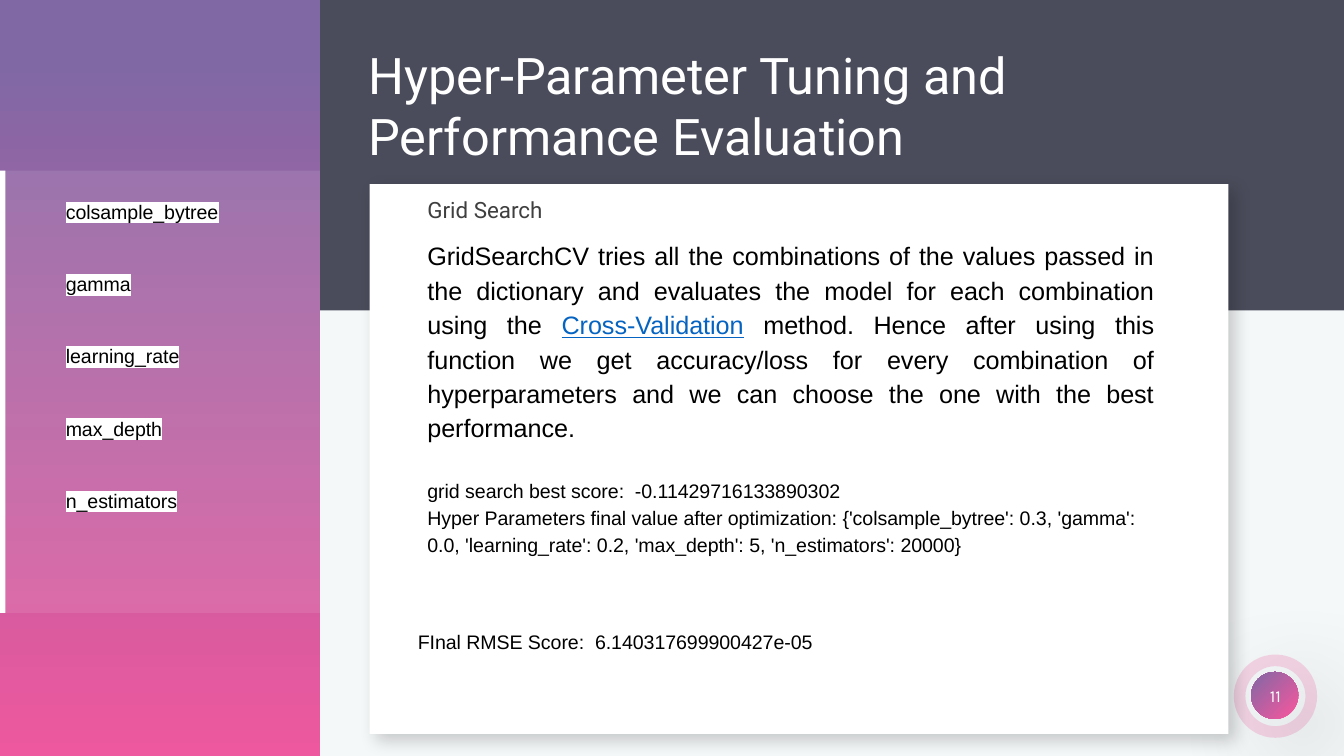
from lxml import etree
from pptx import Presentation
from pptx.dml.color import RGBColor
from pptx.enum.shapes import MSO_SHAPE
from pptx.enum.text import MSO_ANCHOR, MSO_AUTO_SIZE, PP_ALIGN
from pptx.oxml import parse_xml
from pptx.oxml.ns import qn
from pptx.util import Inches, Pt

RECTANGLE, OVAL, DONUT = MSO_SHAPE.RECTANGLE, MSO_SHAPE.OVAL, MSO_SHAPE.DONUT
TOP, NO_AUTOFIT = MSO_ANCHOR.TOP, MSO_AUTO_SIZE.NONE
LEFT, CENTER, JUSTIFY = PP_ALIGN.LEFT, PP_ALIGN.CENTER, PP_ALIGN.JUSTIFY
NAMESPACE = "http://schemas.openxmlformats.org/drawingml/2006/main"
SLIDE_WIDTH = 10
SLIDE_HEIGHT = SLIDE_WIDTH * 9 / 16
COLORS = {
    "background": "F5F8F9",
    "navy": "020319",
    "purple": "8068A5",
    "pink": "EE589E",
    "white": "FFFFFF",
    "black": "000000",
    "gray": "3F3F3F",
    "link": "0563C1",
}


def color_xml(tag, color, alpha=100):
    return (f'<a:{tag} xmlns:a="{NAMESPACE}"><a:srgbClr val="{COLORS[color]}">'
            f'<a:alpha val="{alpha * 1000}"/></a:srgbClr></a:{tag}>')


def add_text(text, box, size, color="black", font="Arial", inset=(0.07, 0.04), spacing=1.0):
    shape = slide.shapes.add_textbox(*map(Inches, box))
    frame = shape.text_frame
    frame.word_wrap = True
    frame.margin_left = frame.margin_right = Inches(inset[0])
    frame.margin_top = frame.margin_bottom = Inches(inset[1])
    for index, line in enumerate(text):
        paragraph = frame.paragraphs[0] if index == 0 else frame.add_paragraph()
        paragraph.line_spacing = spacing
        paragraph.font.size = Pt(size)
        paragraph.font.name = font
        paragraph.font.color.rgb = RGBColor.from_string(COLORS[color])
        for part in line:
            paragraph.add_run().text = part
    return frame.paragraphs


presentation = Presentation()
presentation.slide_width = Inches(SLIDE_WIDTH)
presentation.slide_height = Inches(SLIDE_HEIGHT)
slide = presentation.slides.add_slide(presentation.slide_layouts[5])
slide.background.fill.solid()
slide.background.fill.fore_color.rgb = RGBColor.from_string(COLORS["background"])

sidebar_fill = ([(0, "purple"), (8, "purple"), (100, "pink")],
                '<a:lin ang="5400000" scaled="0"/>')
badge_fill = ([(0, "purple"), (89, "pink"), (100, "pink")],
              '<a:path path="circle"><a:fillToRect r="100000" b="100000"/></a:path>')
panels = [
    (DONUT, (9.18, 4.87, 0.62, 0.62), ("pink", 22), None),
    (OVAL, (9.31, 5, 0.35, 0.35), badge_fill, (40, 59, 21)),
    (RECTANGLE, (2.38, 0, 7.62, 2.31), ("navy", 70), None),
    (RECTANGLE, (0, 0, 2.38, SLIDE_HEIGHT), sidebar_fill, None),
    (RECTANGLE, (2.75, 1.37, 6.39, 4.09), ("white", 100), (18, 9, 5)),
    (RECTANGLE, (0, 1.27, 2.38, 3.29), ("white", 10), None),
    (RECTANGLE, (0, 1.27, 0.04, 3.29), ("white", 100), None),
]
for preset, box, fill, shadow in panels:
    shape = slide.shapes.add_shape(preset, *map(Inches, box))
    shape.line.fill.background()
    shape.shadow.inherit = False
    if preset == DONUT:
        shape.adjustments[0] = 0.14
    properties = shape.element.spPr
    if isinstance(fill[0], list):
        stops = "".join(
            f'<a:gs pos="{position * 1000}"><a:srgbClr val="{COLORS[color]}"/></a:gs>'
            for position, color in fill[0])
        fill_xml = (f'<a:gradFill xmlns:a="{NAMESPACE}" rotWithShape="1">'
                    f'<a:gsLst>{stops}</a:gsLst>{fill[1]}</a:gradFill>')
    else:
        fill_xml = color_xml("solidFill", *fill)
    properties.find(qn("a:prstGeom")).addnext(parse_xml(fill_xml))
    if shadow:
        alpha, blur, distance = shadow
        outer_shadow = parse_xml(color_xml("outerShdw", "black", alpha))
        outer_shadow.set("blurRad", str(Pt(blur)))
        outer_shadow.set("dist", str(Pt(distance)))
        outer_shadow.set("dir", "2700000")
        outer_shadow.set("algn", "tl")
        outer_shadow.set("rotWithShape", "0")
        properties.find(qn("a:effectLst")).append(outer_shadow)

title = slide.shapes.title
title.element.getparent().append(title.element)
title.left, title.top, title.width, title.height = map(Inches, (2.67, 0.29, 6.1, 0.63))
frame = title.text_frame
frame.text = "Hyper-Parameter Tuning and Performance Evaluation"
frame.word_wrap = True
frame.auto_size = NO_AUTOFIT
frame.vertical_anchor = TOP
frame.margin_left = frame.margin_right = Inches(0.07)
frame.margin_top = frame.margin_bottom = Inches(0.04)
paragraph = frame.paragraphs[0]
paragraph.alignment = LEFT
paragraph.font.size = Pt(27)
paragraph.font.name = "Roboto"
paragraph.font.color.rgb = RGBColor.from_string(COLORS["white"])

parameters = ["colsample_bytree", "gamma", "learning_rate", "max_depth", "n_estimators"]
label_step = (3.57 - 1.42) / (len(parameters) - 1)
for index, parameter in enumerate(parameters):
    label = add_text([[parameter]], (0.42, 1.42 + label_step * index, 1.6, 0.28), 10.5,
                     spacing=1.15)
    run_properties = label[0].runs[0].font._element
    highlight = etree.SubElement(run_properties, qn("a:highlight"))
    etree.SubElement(highlight, qn("a:srgbClr"), val=COLORS["white"])

add_text([["Grid Search"]], (3.11, 1.42, 3.25, 0.28), 12, "gray", "Roboto")

description, score, final_values = add_text([
    ["GridSearchCV tries all the combinations of the values passed in the dictionary and "
     "evaluates the model for each combination using the ",
     "Cross-Validation",
     " method. Hence after using this function we get accuracy/loss for every combination of "
     "hyperparameters and we can choose the one with the best performance."],
    ["grid search best score:  -0.11429716133890302"],
    ["Hyper Parameters final value after optimization: {'colsample_bytree': 0.3, "
     "'gamma': 0.0, 'learning_rate': 0.2, 'max_depth': 5, 'n_estimators': 20000}"],
], (3.11, 1.72, 5.55, 1.59), 10.5, spacing=1.15)
description.alignment = JUSTIFY
description.line_spacing = 1.14
description.font.size = Pt(13.5)
link = description.runs[1]
link.font.underline = True
link.font.color.rgb = RGBColor.from_string(COLORS["link"])
score.space_before = Pt(17.5)

add_text([["FInal RMSE Score:  6.140317699900427e-05"]], (3.01, 4.56, 3.28, 0.38), 10.5,
         inset=(0.1, 0.1), spacing=1.15)

page_number = add_text([["11"]], (9.24, 5.06, 0.5, 0.23), 9, "white", "Karla")
page_number[0].alignment = CENTER

presentation.save("out.pptx")
